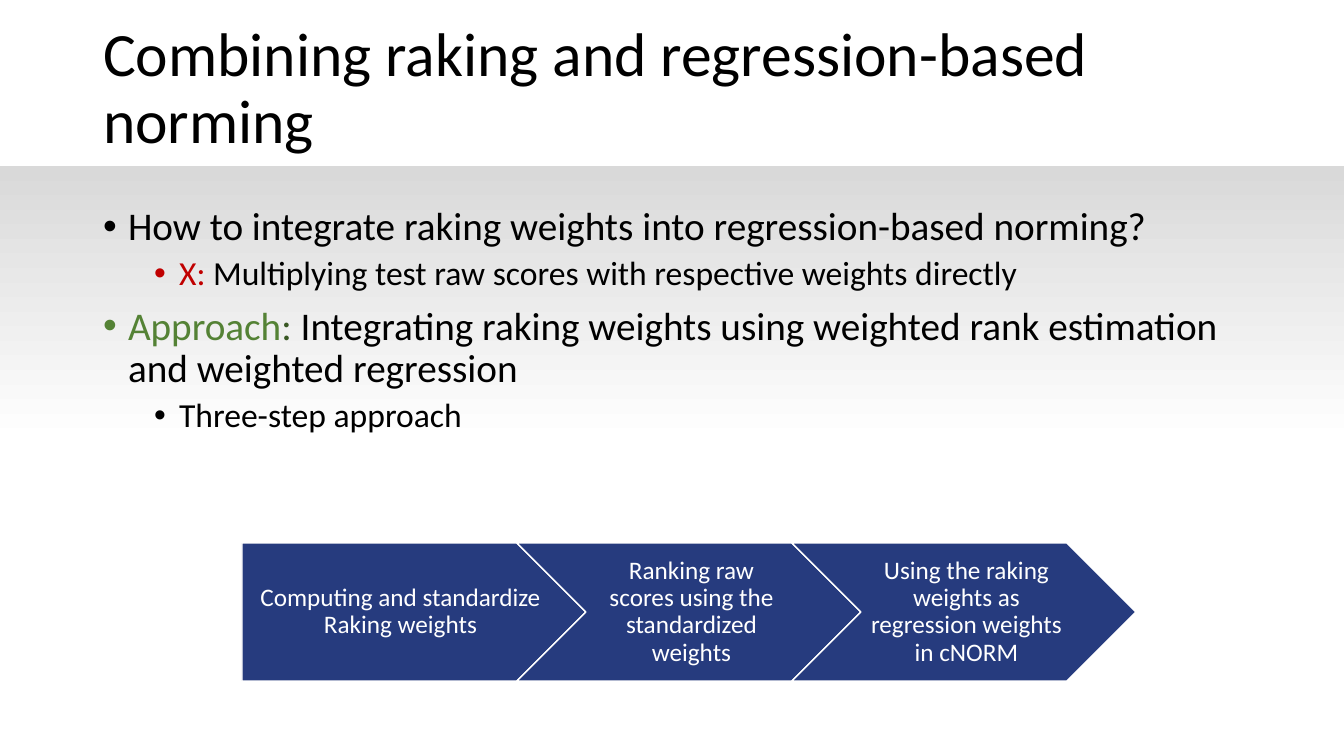
from lxml import etree
from pptx import Presentation, util as u
from pptx.dml.color import RGBColor
from pptx.enum import shapes, text
from pptx.oxml.ns import qn

BLACK = RGBColor(0x00, 0x00, 0x00)
WHITE = RGBColor(0xFF, 0xFF, 0xFF)
GREY = RGBColor(0xD9, 0xD9, 0xD9)
RED = RGBColor(0xC0, 0x00, 0x00)
GREEN = RGBColor(0x54, 0x82, 0x35)
DARK_GREEN = RGBColor(0x38, 0x57, 0x23)
NAVY = RGBColor(0x26, 0x3B, 0x7E)
FONT = "Calibri"

TITLE = "Combining raking and regression-based norming"
BULLETS = [  # level, runs
    (0, [("How to integrate raking weights into regression-based norming?", BLACK)]),
    (1, [("X: ", RED),
         ("Multiplying test raw scores with respective weights directly", BLACK)]),
    (0, [("Approach", GREEN), (":", DARK_GREEN),
         (" Integrating raking weights using weighted rank estimation and weighted regression", BLACK)]),
    (1, [("Three-step approach", BLACK)]),
]
LEVELS = [(28, 10, 25), (24, 5, 76)]  # size pt, space before pt, margin px
HANGING = 25
STEPS = [
    "Computing and standardize Raking weights",
    "Ranking raw scores using the standardized weights",
    "Using the raking weights as regression weights in cNORM",
]

SLIDE_W, SLIDE_H = 1344, 756
BAND = (0, 166, SLIDE_W, 277)
TITLE_BOX = (93, 17, 1159, 146)
BODY_BOX = (93, 202, 1159, 480)
STEP_X, STEP_Y, STEP_W, STEP_H, TIP = 242, 543, 275, 138, 69
FIRST_INSETS = (10, 5, 37, 5)
NEXT_INSETS = (77, 5, 72, 5)
EMU_PER_PX = 914400 / 100.8


def px(n):
    return u.Emu(round(n * EMU_PER_PX))


def place(sp, box):
    sp.left, sp.top, sp.width, sp.height = map(px, box)


def style(r, size, color):
    r.font.name, r.font.size, r.font.color.rgb = FONT, u.Pt(size), color


def set_frame(tf, anchor):
    tf.word_wrap = True
    tf.auto_size = text.MSO_AUTO_SIZE.NONE
    tf.vertical_anchor = anchor


def add_band(s):
    sp = s.shapes.add_shape(shapes.MSO_SHAPE.RECTANGLE, *map(px, BAND))
    sp.shadow.inherit = False
    sp.line.fill.background()
    sp.fill.gradient()
    sp.fill.gradient_angle = 270
    for stop, color in zip(sp.fill.gradient_stops, (GREY, WHITE)):
        stop.color.rgb = color
    s.shapes._spTree.insert(2, sp._element)  # behind the placeholders


def fill_title(sp):
    place(sp, TITLE_BOX)
    set_frame(sp.text_frame, text.MSO_ANCHOR.MIDDLE)
    sp.text_frame.text = TITLE
    p = sp.text_frame.paragraphs[0]
    p.alignment, p.line_spacing = text.PP_ALIGN.LEFT, 0.9
    style(p.runs[0], 44, BLACK)


def fill_body(sp):
    place(sp, BODY_BOX)
    tf = sp.text_frame
    set_frame(tf, text.MSO_ANCHOR.TOP)
    for i, (level, runs) in enumerate(BULLETS):
        p = tf.add_paragraph() if i else tf.paragraphs[0]
        size, before, margin = LEVELS[level]
        p.level, p.line_spacing, p.space_before = level, 0.9, u.Pt(before)
        pPr = p._p.get_or_add_pPr()
        pPr.set("marL", str(px(margin)))
        pPr.set("indent", str(-px(HANGING)))
        etree.SubElement(pPr, qn("a:buFont"), typeface="Arial")
        etree.SubElement(pPr, qn("a:buChar"), char="•")
        for words, color in runs:
            r = p.add_run()
            r.text = words
            style(r, size, color)


def add_step(s, i, words):
    """Add one arrow of the chain; all but the first are notched on the left."""
    x, mid, bottom = STEP_X + i * STEP_W, STEP_Y + STEP_H // 2, STEP_Y + STEP_H
    shoulder = x + STEP_W
    outline = [(shoulder, STEP_Y), (shoulder + TIP, mid), (shoulder, bottom), (x, bottom)]
    if i:
        outline.append((x + TIP, mid))
    builder = s.shapes.build_freeform(x, STEP_Y, scale=EMU_PER_PX)
    builder.add_line_segments(outline, close=True)
    sp = builder.convert_to_shape()
    sp.shadow.inherit = False
    sp.fill.solid()
    sp.fill.fore_color.rgb = NAVY
    sp.line.color.rgb, sp.line.width = WHITE, u.Pt(1)
    tf = sp.text_frame
    set_frame(tf, text.MSO_ANCHOR.MIDDLE)
    tf.margin_left, tf.margin_top, tf.margin_right, tf.margin_bottom = map(
        px, NEXT_INSETS if i else FIRST_INSETS)
    tf.text = words
    p = tf.paragraphs[0]
    p.alignment, p.line_spacing = text.PP_ALIGN.CENTER, 0.9
    style(p.runs[0], 18, WHITE)


def main():
    prs = Presentation()
    prs.slide_width, prs.slide_height = px(SLIDE_W), px(SLIDE_H)
    s = prs.slides.add_slide(prs.slide_layouts[1])
    add_band(s)
    fill_title(s.shapes.title)
    fill_body(s.placeholders[1])
    for i, words in enumerate(STEPS):
        add_step(s, i, words)
    prs.save("out.pptx")


if __name__ == "__main__":
    main()
